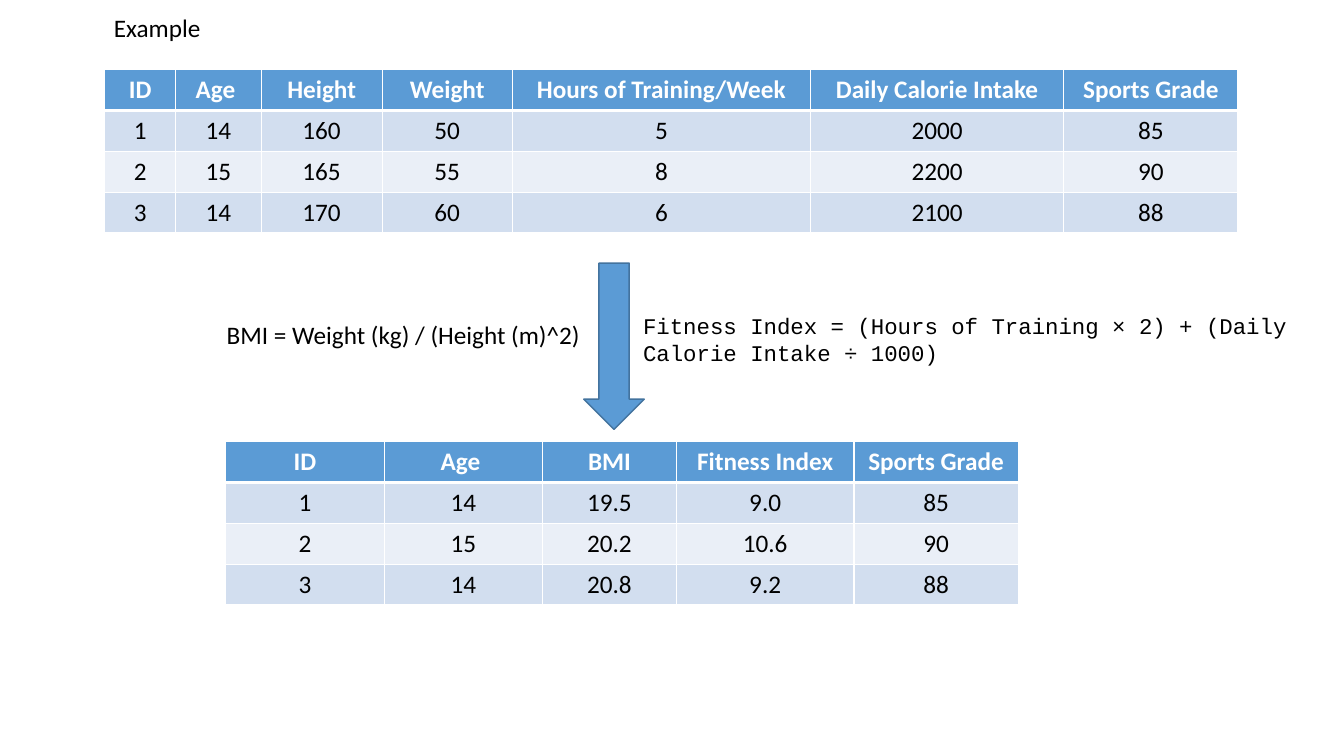
from lxml.etree import SubElement
from pptx import Presentation
from pptx.dml.color import RGBColor
from pptx.enum.shapes import MSO_SHAPE
from pptx.enum.text import MSO_ANCHOR, MSO_AUTO_SIZE, PP_ALIGN
from pptx.oxml.ns import qn
from pptx.util import Inches, Pt

BLUE = RGBColor(0x5B, 0x9B, 0xD5)
DARK_BLUE = RGBColor(0x43, 0x73, 0x9E)
BAND_DARK = RGBColor(0xD2, 0xDE, 0xEF)
BAND_LIGHT = RGBColor(0xEA, 0xEF, 0xF7)
WHITE = RGBColor(0xFF, 0xFF, 0xFF)
BLACK = RGBColor(0x00, 0x00, 0x00)

ROW_HEIGHT = 0.405

RAW_WIDTHS = [0.7, 0.85, 1.2, 1.29, 2.96, 2.51, 1.73]
RAW_ROWS = [
    ["ID", "Age ", "Height", "Weight", "Hours of Training/Week",
     "Daily Calorie Intake", "Sports Grade"],
    ["1", "14", "160", "50", "5", "2000", "85"],
    ["2", "15", "165", "55", "8", "2200", "90"],
    ["3", "14", "170", "60", "6", "2100", "88"],
]
DERIVED_WIDTHS = [1.57, 1.57, 1.33, 1.76, 1.63]
DERIVED_ROWS = [
    ["ID", "Age ", "BMI", "Fitness Index", "Sports Grade"],
    ["1", "14", "19.5", "9.0", "85"],
    ["2", "15", "20.2", "10.6", "90"],
    ["3", "14", "20.8", "9.2", "88"],
]


def format_text(p, size=18, font="Calibri", color=BLACK, bold=False):
    for r in p.runs:
        r.font.size = Pt(size)
        r.font.name = font
        r.font.color.rgb = color
        r.font.bold = bold


def set_borders(cell, top, bottom):
    tc_pr = cell._tc.get_or_add_tcPr()
    for tag, width in (("lnL", 1), ("lnR", 1), ("lnT", top), ("lnB", bottom)):
        ln = SubElement(tc_pr, qn(f"a:{tag}"), w=str(Pt(width)))
        fill = SubElement(ln, qn("a:solidFill"))
        SubElement(fill, qn("a:srgbClr"), val=str(WHITE))


def add_data_table(s, left, top, widths, rows):
    frame = s.shapes.add_table(
        len(rows), len(widths), Inches(left), Inches(top),
        Inches(sum(widths)), Inches(ROW_HEIGHT * len(rows)))
    table = frame.table
    for column, width in zip(table.columns, widths):
        column.width = Inches(width)
    for i, values in enumerate(rows):
        header = i == 0
        band = BLUE if header else BAND_DARK if i % 2 else BAND_LIGHT
        for j, value in enumerate(values):
            cell = table.cell(i, j)
            set_borders(cell, 3 if i == 1 else 1, 3 if header else 1)
            cell.fill.solid()
            cell.fill.fore_color.rgb = band
            p = cell.text_frame.paragraphs[0]
            p.text = value
            p.alignment = PP_ALIGN.CENTER
            format_text(p, color=WHITE if header else BLACK, bold=header)


def add_formula(s, left, top, width, height, text, size=18, font="Calibri",
                wrap=True, anchor=MSO_ANCHOR.TOP):
    sp = s.shapes.add_textbox(
        Inches(left), Inches(top), Inches(width), Inches(height))
    tf = sp.text_frame
    tf.text = text
    tf.word_wrap = wrap
    tf.auto_size = MSO_AUTO_SIZE.SHAPE_TO_FIT_TEXT
    tf.vertical_anchor = anchor
    format_text(tf.paragraphs[0], size, font)


def add_down_arrow(s, left, top, width, height):
    sp = s.shapes.add_shape(
        MSO_SHAPE.DOWN_ARROW,
        Inches(left), Inches(top), Inches(width), Inches(height))
    sp.shadow.inherit = False
    sp.fill.solid()
    sp.fill.fore_color.rgb = BLUE
    sp.line.color.rgb = DARK_BLUE
    sp.line.width = Pt(1)


def set_title(s, left, top, width, height, text):
    sp = s.shapes.title
    sp.left, sp.top = Inches(left), Inches(top)
    sp.width, sp.height = Inches(width), Inches(height)
    tf = sp.text_frame
    tf.text = text
    tf.word_wrap = True
    tf.auto_size = MSO_AUTO_SIZE.NONE
    tf.vertical_anchor = MSO_ANCHOR.TOP
    p = tf.paragraphs[0]
    p.alignment = PP_ALIGN.LEFT
    format_text(p)


def main():
    prs = Presentation()
    prs.slide_width, prs.slide_height = Inches(13.33), Inches(7.5)
    s = prs.slides.add_slide(prs.slide_layouts[5])
    set_title(s, 1.03, 0.07, 1.4, 0.4, "Example")
    add_data_table(s, 1.04, 0.69, RAW_WIDTHS, RAW_ROWS)
    add_data_table(s, 2.24, 4.38, DERIVED_WIDTHS, DERIVED_ROWS)
    add_formula(s, 2.15, 3.12, 3.75, 0.4,
                "BMI = Weight (kg) / (Height (m)^2)", wrap=False)
    add_formula(s, 6.28, 3.18, 7.17, 0.37,
                "Fitness Index = (Hours of Training × 2) + "
                "(Daily Calorie Intake ÷ 1000)",
                size=16, font="Courier New", anchor=MSO_ANCHOR.MIDDLE)
    add_down_arrow(s, 5.79, 2.61, 0.6, 1.65)
    prs.save("out.pptx")


if __name__ == "__main__":
    main()
